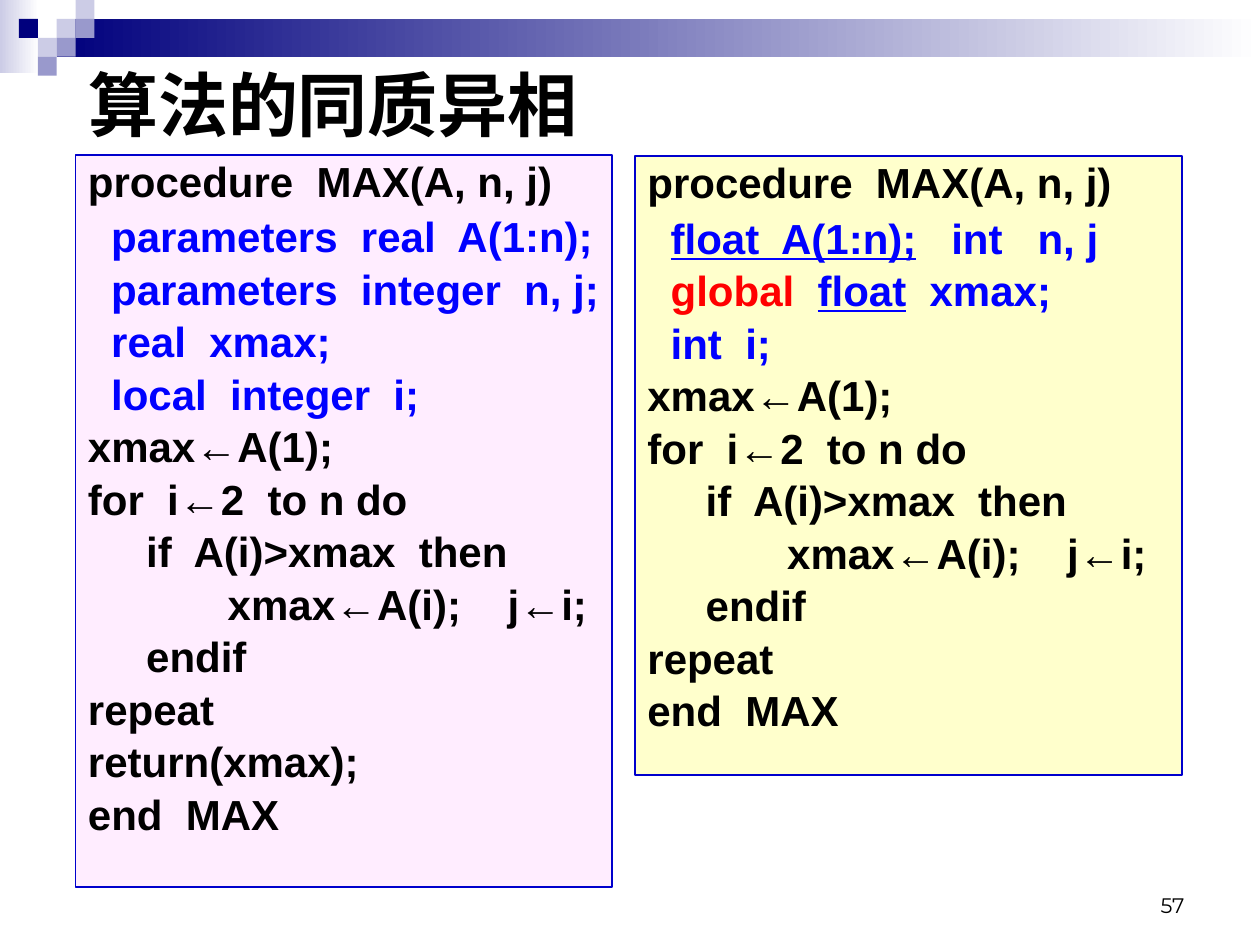
from pptx import Presentation
from pptx.dml.color import RGBColor
from pptx.enum.shapes import MSO_SHAPE
from pptx.enum.text import MSO_ANCHOR, PP_ALIGN
from pptx.util import Inches, Pt

BLACK = RGBColor(0, 0, 0)
WHITE = RGBColor(255, 255, 255)
BLUE = RGBColor(0, 0, 255)
RED = RGBColor(255, 0, 0)
NAVY = RGBColor(0, 0, 0x7D)
LAVENDER = RGBColor(0xCC, 0xCC, 0xE6)
PERIWINKLE = RGBColor(0x99, 0x99, 0xCC)
BORDER = RGBColor(0, 0, 0xCC)
PINK = RGBColor(0xFF, 0xED, 0xFF)
CREAM = RGBColor(0xFF, 0xFF, 0xCC)

TITLE = "算法的同质异相"
PAGE = "57"

HEADER = [("procedure  MAX(A, n, j)", BLACK)]
LOOP = [[(line, BLACK)] for line in (
    "xmax←A(1);",
    "for  i←2  to n do",
    "     if  A(i)>xmax  then",
    "            xmax←A(i);    j←i;",
    "     endif",
    "repeat",
)]
RETURN = [("return(xmax);", BLACK)]
END = [("end  MAX", BLACK)]

RETURNING = [
    HEADER,
    [("  parameters  real  A(1:n);", BLUE)],
    [("  parameters  integer  n, j;", BLUE)],
    [("  real  xmax;", BLUE)],
    [("  local  integer  i;", BLUE)],
    *LOOP, RETURN, END,
]
GLOBAL = [
    HEADER,
    [("  ", BLUE), ("float  A(1:n);", BLUE, True), ("   int   n, j", BLUE)],
    [("  ", BLUE), ("global  ", RED), ("float", BLUE, True), ("  xmax;", BLUE)],
    [("  int  i;", BLUE)],
    *LOOP, END,
]
PANELS = [
    ((0.6, 1.23, 4.26, 5.81), PINK, RETURNING),
    ((5.04, 1.24, 4.34, 4.91), CREAM, GLOBAL),
]

GRADIENT_BARS = [((0, 0, 0.31, 0.58), LAVENDER), ((0.45, 0.15, 9.55, 0.3), NAVY)]
TILE = 0.15
TILES = [
    (3, 1, LAVENDER), (4, 0, LAVENDER), (4, 1, PERIWINKLE), (2, 2, LAVENDER),
    (1, 1, NAVY), (3, 2, PERIWINKLE), (2, 3, PERIWINKLE),
]


def add_rectangle(slide, box):
    rectangle = slide.shapes.add_shape(MSO_SHAPE.RECTANGLE, *map(Inches, box))
    rectangle.shadow.inherit = False
    rectangle.line.fill.background()
    return rectangle


def style(font, size, color, bold=False, name="Arial"):
    font.name = name
    font.size = Pt(size)
    font.bold = bold
    font.color.rgb = color


def add_banner(slide):
    for box, color in GRADIENT_BARS:
        fill = add_rectangle(slide, box).fill
        fill.gradient()
        fill.gradient_angle = 0
        for stop, stop_color in zip(fill.gradient_stops, (color, WHITE)):
            stop.color.rgb = stop_color
    for column, row, color in TILES:
        fill = add_rectangle(slide, (column * TILE, row * TILE, TILE, TILE)).fill
        fill.solid()
        fill.fore_color.rgb = color


def add_panel(slide, box, background, lines):
    panel = add_rectangle(slide, box)
    panel.fill.solid()
    panel.fill.fore_color.rgb = background
    panel.line.color.rgb = BORDER
    panel.line.width = Pt(1)
    frame = panel.text_frame
    frame.word_wrap = True
    frame.vertical_anchor = MSO_ANCHOR.TOP
    frame.margin_right = Inches(0.05)
    for index, line in enumerate(lines):
        paragraph = frame.add_paragraph() if index else frame.paragraphs[0]
        paragraph.alignment = PP_ALIGN.LEFT
        paragraph.line_spacing = 0.6 if index else 0.9
        paragraph.space_before = Pt(12.7 if index else 0)
        for text, color, *underline in line:
            run = paragraph.add_run()
            run.text = text
            style(run.font, 24, color, bold=True)
            if underline:
                run.font.underline = True


def place_title(slide):
    title = slide.shapes.title
    title.left, title.top, title.width, title.height = map(
        Inches, (0.6, 0.49, 7.94, 0.66))
    frame = title.text_frame
    frame.text = TITLE
    frame.vertical_anchor = MSO_ANCHOR.MIDDLE
    frame.paragraphs[0].alignment = PP_ALIGN.LEFT
    style(frame.paragraphs[0].runs[0].font, 40, BLACK, bold=True)


def add_page_number(slide):
    frame = slide.shapes.add_textbox(*map(Inches, (7.17, 6.83, 2.33, 0.5))).text_frame
    frame.word_wrap = True
    frame.vertical_anchor = MSO_ANCHOR.BOTTOM
    frame.text = PAGE
    frame.paragraphs[0].alignment = PP_ALIGN.RIGHT
    style(frame.paragraphs[0].runs[0].font, 12, BLACK, name="Montserrat")


def main():
    deck = Presentation()
    deck.slide_width, deck.slide_height = Inches(10), Inches(7.5)
    slide = deck.slides.add_slide(deck.slide_layouts[5])
    add_banner(slide)
    add_page_number(slide)
    for panel in PANELS:
        add_panel(slide, *panel)
    place_title(slide)
    deck.save("out.pptx")


if __name__ == "__main__":
    main()
